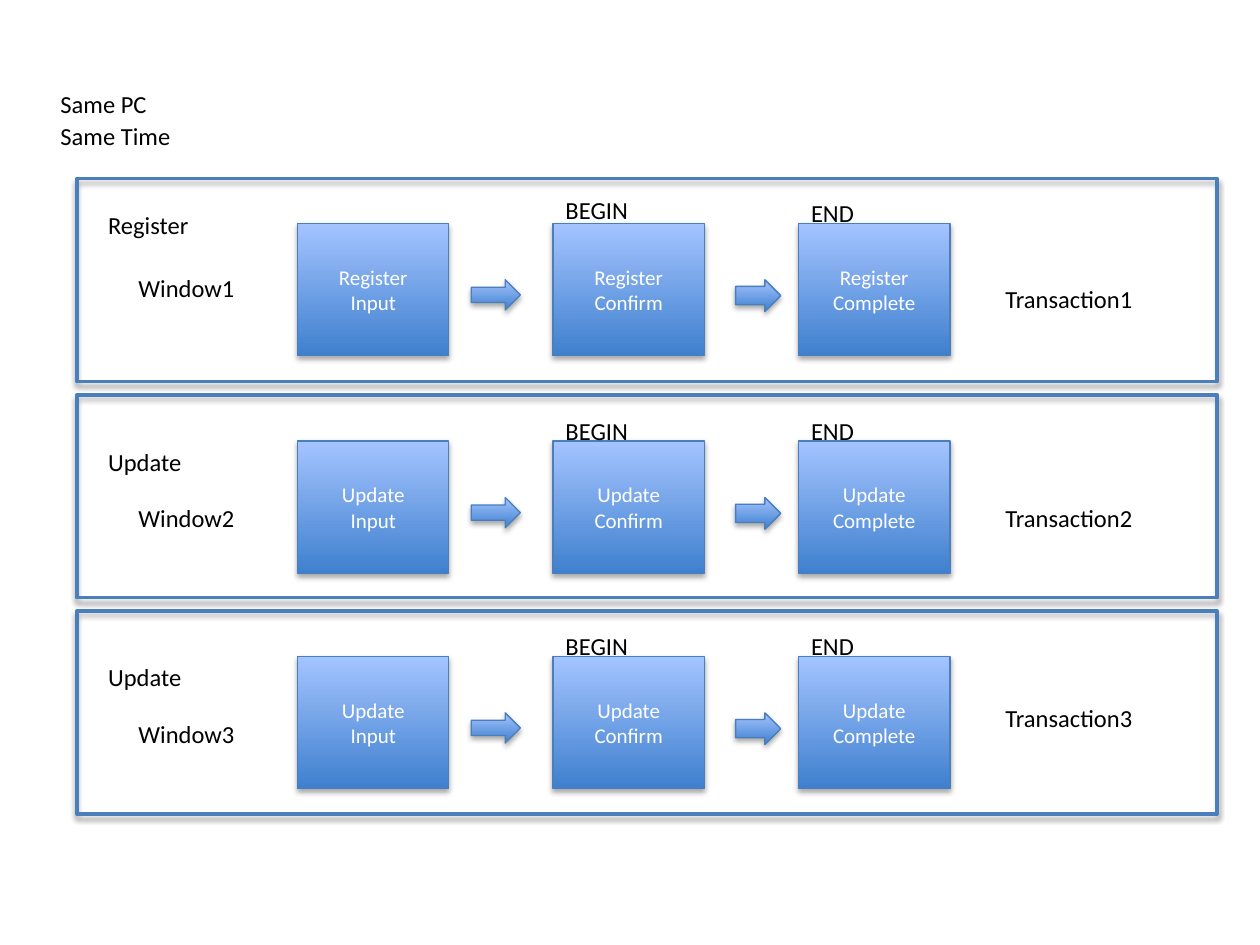
from pptx import Presentation
from pptx.dml.color import RGBColor
from pptx.enum.shapes import MSO_SHAPE
from pptx.enum.text import MSO_ANCHOR, PP_ALIGN
from pptx.oxml import parse_xml
from pptx.oxml.ns import nsdecls, qn
from pptx.util import Cm, Pt

RECTANGLE = MSO_SHAPE.RECTANGLE
RIGHT_ARROW = MSO_SHAPE.RIGHT_ARROW
MIDDLE, TOP = MSO_ANCHOR.MIDDLE, MSO_ANCHOR.TOP
CENTER, LEFT = PP_ALIGN.CENTER, PP_ALIGN.LEFT

DARK_BLUE = RGBColor(0x3F, 0x80, 0xCE)
LIGHT_BLUE = RGBColor(0xA4, 0xC4, 0xFF)
OUTLINE = RGBColor(0x4B, 0x7E, 0xBC)
WHITE = RGBColor(0xFF, 0xFF, 0xFF)
BLACK = RGBColor(0, 0, 0)

SHADOW = (
    f'<a:outerShdw {nsdecls("a")} blurRad="40000" dist="23000" dir="5400000" '
    'rotWithShape="0"><a:srgbClr val="000000"><a:alpha val="35000"/>'
    '</a:srgbClr></a:outerShdw>'
)

prs = Presentation()
prs.slide_width, prs.slide_height = Cm(25.4), Cm(19.05)
slide = prs.slides.add_slide(prs.slide_layouts[6])


def add_block(kind, left, top, width, height, filled=True):
    """Add an outlined shape with a soft shadow and, if filled, a gradient."""
    block = slide.shapes.add_shape(kind, Cm(left), Cm(top), Cm(width), Cm(height))
    if filled:
        block.fill.gradient()
        block.fill.gradient_angle = 90
        for stop, color in zip(block.fill.gradient_stops, (DARK_BLUE, LIGHT_BLUE)):
            stop.color.rgb = color
    else:
        block.fill.background()
    block.line.color.rgb = OUTLINE
    block.line.width = Pt(0.75 if filled else 2)
    block.shadow.inherit = False
    block._element.spPr.find(qn("a:effectLst")).append(parse_xml(SHADOW))
    return block


def write(lines, left=0, top=0, width=0, block=None):
    """Write lines centred inside a block, or as a label at a place."""
    inside = block is not None
    holder = block if inside else slide.shapes.add_textbox(
        Cm(left), Cm(top), Cm(width), Cm(0.64))
    frame = holder.text_frame
    frame.word_wrap = True
    frame.vertical_anchor = MIDDLE if inside else TOP
    for index, line in enumerate(lines):
        paragraph = frame.add_paragraph() if index else frame.paragraphs[0]
        paragraph.alignment = CENTER if inside else LEFT
        run = paragraph.add_run()
        run.text = line
        run.font.name = "Calibri"
        run.font.size = Pt(12 if inside else 14)
        run.font.color.rgb = WHITE if inside else BLACK


# action, then tops of: steps, action, window, transaction, BEGIN, END
flows = [
    ("Register", 4.5, 4.11, 5.38, 5.61, 3.81, 3.86),
    ("Update", 8.89, 8.89, 10.01, 10.01, 8.26, 8.26),
    ("Update", 13.23, 13.23, 14.38, 14.05, 12.6, 12.6),
]
steps = [("Input", 6), ("Confirm", 11.15), ("Complete", 16.1)]
FRAME_TOP, FRAME_PITCH = 3.6, 4.36

for index, flow in enumerate(flows):
    action, step_top, action_top, window_top, transaction_top, begin_top, end_top = flow
    number = index + 1
    add_block(RECTANGLE, 1.55, FRAME_TOP + index * FRAME_PITCH, 22.99, 4.09, filled=False)
    for step, left in steps:
        step_box = add_block(RECTANGLE, left, step_top, 3.05, 2.67)
        write([action, step], block=step_box)
    add_block(RIGHT_ARROW, 9.5, step_top + 1.14, 0.99, 0.61)
    confirm_arrow = add_block(RIGHT_ARROW, 14.83, step_top + 1.14, 0.91, 0.64)
    confirm_arrow.adjustments[0] = 0.58
    write([action], 1.93, action_top, 2.62)
    write([f"Window{number}"], 2.54, window_top, 2.62)
    write([f"Transaction{number}"], 20.02, transaction_top, 3.66)
    write(["BEGIN"], 11.15, begin_top, 2.03)
    write(["END"], 16.1, end_top, 2.03)

for index, condition in enumerate(["Same PC", "Same Time"]):
    write([condition], 0.97, 1.68 + index * 0.63, 4.75)

prs.save("out.pptx")
